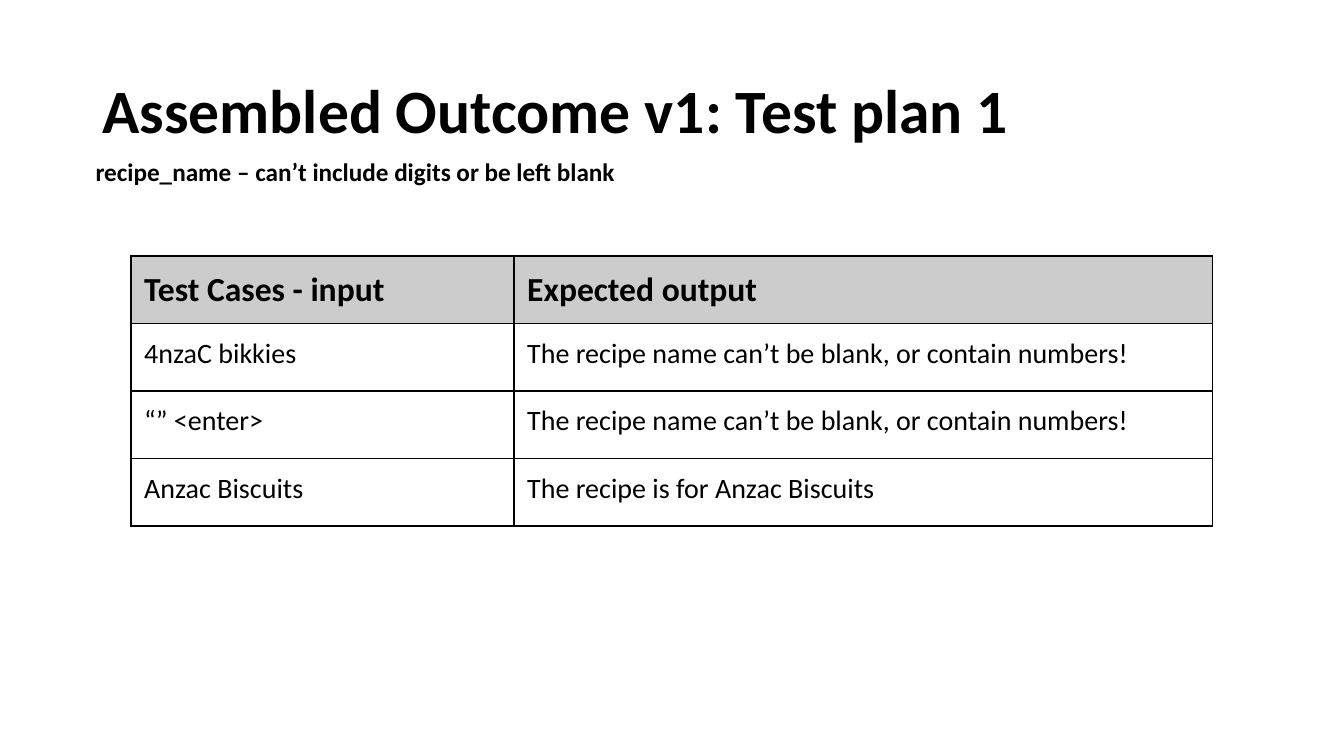
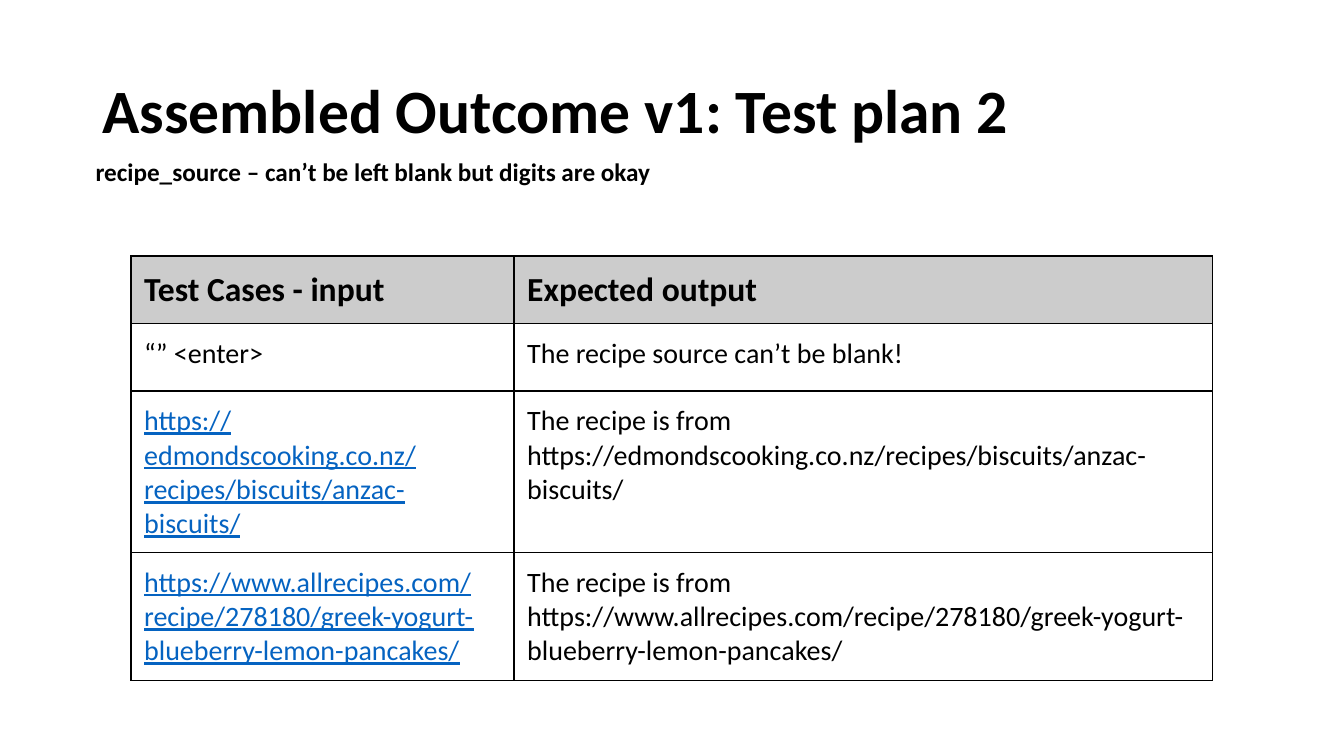
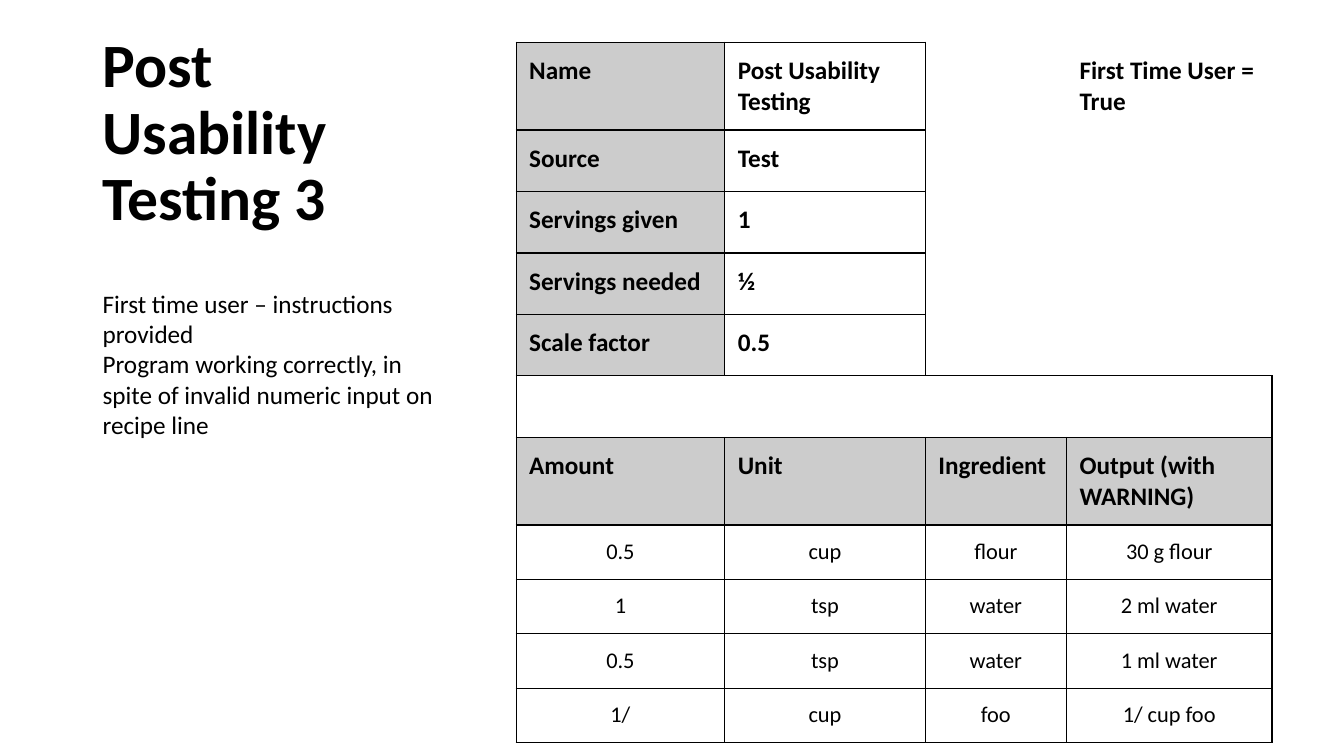
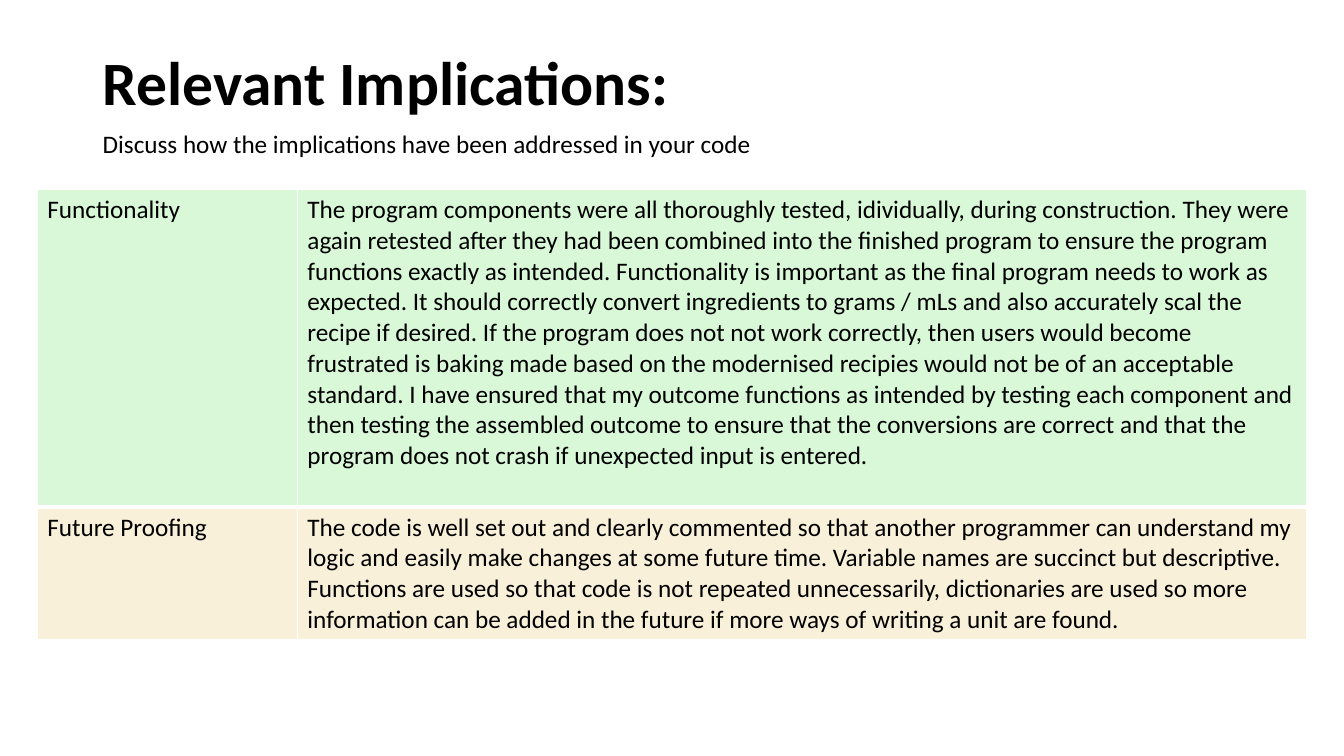
from dataclasses import dataclass, replace
from typing import Optional

from lxml.etree import SubElement
from pptx import Presentation
from pptx.dml.color import RGBColor
from pptx.enum.text import MSO_ANCHOR as Anchor, PP_ALIGN as Align
from pptx.oxml.ns import qn
from pptx.util import Emu, Inches, Pt

# Shared style
FONT = "Calibri"
BLACK = RGBColor(0x00, 0x00, 0x00)
WHITE = RGBColor(0xFF, 0xFF, 0xFF)
GREY = RGBColor(0xCC, 0xCC, 0xCC)
LINK_BLUE = RGBColor(0x05, 0x63, 0xC1)
GREEN = RGBColor(0xD8, 0xF8, 0xD8)
CREAM = RGBColor(0xF8, 0xF0, 0xD8)
TITLE_PT = 44
BODY_PT = 18
LEFT = 0.92
WIDTH = 11.5

# Side of a cell: XML tag, then row and column step to the neighbour
SIDES = {"a:lnL": (0, -1), "a:lnR": (0, 1), "a:lnT": (-1, 0), "a:lnB": (1, 0)}


@dataclass(frozen=True)
class Box:
    left: float
    top: float
    width: float
    height: float


@dataclass(frozen=True)
class Cell:
    text: str = ""
    size: int = BODY_PT
    bold: bool = False
    fill: Optional[RGBColor] = None
    color: RGBColor = BLACK
    underline: bool = False
    align: Align = Align.LEFT
    framed: bool = True


@dataclass(frozen=True)
class Grid:
    left: float
    top: float
    cols: list[float]
    rows: list[float]
    cells: list[list[Cell]]
    inset: Optional[float] = 0.13
    line: RGBColor = BLACK
    inner_pt: float = 1  # width of the lines between rows
    merged_row: Optional[int] = None


def style(p, size: int, bold: bool = False, color: RGBColor = BLACK) -> None:
    p.font.name = FONT
    p.font.size = Pt(size)
    p.font.bold = bold
    p.font.color.rgb = color


def add_text(s, box: Box, lines: list[str], size: int = BODY_PT, bold: bool = False,
             spacing: float = 1.0, anchor: Anchor = Anchor.TOP) -> None:
    sp = s.shapes.add_textbox(*map(Inches, (box.left, box.top, box.width, box.height)))
    tf = sp.text_frame
    tf.word_wrap = True
    tf.vertical_anchor = anchor
    tf.text = "\n".join(lines)
    for p in tf.paragraphs:
        p.line_spacing = spacing
        style(p, size, bold)


def add_title(s, text: str, box: Box, spacing: float = 0.9) -> None:
    add_text(s, box, [text], TITLE_PT, True, spacing, Anchor.MIDDLE)


def add_edge(cell, tag: str, color: Optional[RGBColor], width: float) -> None:
    ln = SubElement(cell._tc.get_or_add_tcPr(), qn(tag), w=str(Pt(width)))
    if color is None:
        SubElement(ln, qn("a:noFill"))
    else:
        fill = SubElement(ln, qn("a:solidFill"))
        SubElement(fill, qn("a:srgbClr"), val=str(color))


def add_edges(cell, grid: Grid, row: int, col: int) -> None:
    """Draw each side that touches a framed cell."""
    for tag, (down, right) in SIDES.items():
        r, c = row + down, col + right
        inside = 0 <= r < len(grid.rows) and 0 <= c < len(grid.cols)
        shown = grid.cells[row][col].framed or (inside and grid.cells[r][c].framed)
        width = grid.inner_pt if inside and down else 1
        add_edge(cell, tag, grid.line if shown else None, width)


def fill_cell(cell, spec: Cell, inset: Optional[float]) -> None:
    if inset is not None:
        cell.margin_left = cell.margin_right = Inches(inset)
        cell.margin_top = cell.margin_bottom = Inches(inset)
    if spec.fill is None:
        cell.fill.background()
    else:
        cell.fill.solid()
        cell.fill.fore_color.rgb = spec.fill
    p = cell.text_frame.paragraphs[0]
    p.text = spec.text
    p.alignment = spec.align
    style(p, spec.size, spec.bold, spec.color)
    p.font.underline = spec.underline


def add_grid(s, grid: Grid) -> None:
    size = (grid.left, grid.top, sum(grid.cols), sum(grid.rows))
    table = s.shapes.add_table(len(grid.rows), len(grid.cols), *map(Inches, size)).table
    table.first_row = table.horz_banding = False
    for column, width in zip(table.columns, grid.cols):
        column.width = Inches(width)
    for row, height in zip(table.rows, grid.rows):
        row.height = Inches(height)
    for r, specs in enumerate(grid.cells):
        for c, spec in enumerate(specs):
            cell = table.cell(r, c)
            add_edges(cell, grid, r, c)
            fill_cell(cell, spec, grid.inset)
    if grid.merged_row is not None:
        table.cell(grid.merged_row, 0).merge(table.cell(grid.merged_row, len(grid.cols) - 1))


def bold_cell(text: str) -> Cell:
    return Cell(text, bold=True)


def label(text: str, size: int = BODY_PT) -> Cell:
    return Cell(text, size, bold=True, fill=GREY)


def case(given: str, expected: str) -> list[Cell]:
    """Row of a test plan; web addresses look like links."""
    first, second = Cell(given, 20), Cell(expected, 20)
    if given.startswith("https://"):
        first = replace(first, color=LINK_BLUE, underline=True)
    return [first, second]


def test_plan(prs, number: int, rule: str, cases: list[tuple[str, str]],
              heights: list[float]) -> None:
    s = prs.slides.add_slide(prs.slide_layouts[6])
    add_title(s, f"Assembled Outcome v1: Test plan {number}", Box(LEFT, 0.4, WIDTH, 1.45))
    add_text(s, Box(0.85, 1.5, WIDTH, 0.4), [rule], bold=True)
    header = [label("Test Cases - input", 24), label("Expected output", 24)]
    add_grid(s, Grid(1.3, 2.54, [3.8, 6.93], [0.67] + heights,
                     [header] + [case(*pair) for pair in cases]))


def usability(prs) -> None:
    s = prs.slides.add_slide(prs.slide_layouts[6])
    add_title(s, "Post Usability Testing 3", Box(LEFT, 0.52, 3.63, 1.62))
    add_text(s, Box(LEFT, 2.81, 3.63, 1.62), [
        "First time user – instructions provided",
        "Program working correctly, in spite of invalid numeric input on recipe line",
    ])
    facts = [("Name", "Post Usability Testing"), ("Source", "Test"), ("Servings given", "1"),
             ("Servings needed", "½"), ("Scale factor", "0.5")]
    recipe = [("0.5", "cup", "flour", "30 g flour"), ("1", "tsp", "water", "2 ml water"),
              ("0.5", "tsp", "water", "1 ml water"), ("1/", "cup", "foo", "1/ cup foo")]
    heads = ["Amount", "Unit", "Ingredient", "Output (with WARNING)"]

    open_cell = Cell(framed=False)
    cells = [[label(name), bold_cell(value), open_cell, open_cell] for name, value in facts]
    cells[0][3] = replace(open_cell, text="First Time User = True", bold=True)
    cells.append([Cell()] * len(heads))
    cells.append([label(head) for head in heads])
    cells += [[Cell(text, 16, align=Align.CENTER) for text in row] for row in recipe]
    heights = [0.87] + [0.61] * 5 + [0.87] + [0.54] * len(recipe)
    add_grid(s, Grid(5.12, 0.42, [2.07, 1.99, 1.4, 2.04], heights, cells,
                     merged_row=len(facts)))


def implications(prs) -> None:
    s = prs.slides.add_slide(prs.slide_layouts[6])
    add_title(s, "Relevant Implications:", Box(LEFT, 0.28, WIDTH, 0.93), 1.15)
    topics = [
        ("Functionality", GREEN,
         "The program components were all thoroughly tested, idividually, during construction. "
         "They were again retested after they had been combined into the finished program to "
         "ensure the program functions exactly as intended. Functionality is important as the "
         "final program needs to work as expected. It should correctly convert ingredients to "
         "grams / mLs and also accurately scal the recipe if desired. If the program does not "
         "not work correctly, then users would become frustrated is baking made based on the "
         "modernised recipies would not be of an acceptable standard. I have ensured that my "
         "outcome functions as intended by testing each component and then testing the "
         "assembled outcome to ensure that the conversions are correct and that the program "
         "does not crash if unexpected input is entered."),
        ("Future Proofing", CREAM,
         "The code is well set out and clearly commented so that another programmer can "
         "understand my logic and easily make changes at some future time. Variable names are "
         "succinct but descriptive. Functions are used so that code is not repeated "
         "unnecessarily, dictionaries are used so more information can be added in the future "
         "if more ways of writing a unit are found."),
    ]
    cells = [[Cell(name, fill=fill), Cell(text, fill=fill)] for name, fill, text in topics]
    add_grid(s, Grid(0.37, 1.88, [2.58, 10.01], [3.15, 1.32], cells,
                     inset=None, line=WHITE, inner_pt=3))
    add_text(s, Box(LEFT, 1.22, 10.92, 0.4),
             ["Discuss how the implications have been addressed in your code"])


def main() -> None:
    prs = Presentation()
    prs.slide_width, prs.slide_height = Emu(12192000), Inches(7.5)

    # Test plans
    name_error = "The recipe name can’t be blank, or contain numbers!"
    test_plan(prs, 1, "recipe_name – can’t include digits or be left blank", [
        ("4nzaC bikkies", name_error),
        ("“” <enter>", name_error),
        ("Anzac Biscuits", "The recipe is for Anzac Biscuits"),
    ], [0.67] * 3)
    sources = ["https://edmondscooking.co.nz/recipes/biscuits/anzac-biscuits/",
               "https://www.allrecipes.com/recipe/278180/greek-yogurt-blueberry-lemon-pancakes/"]
    test_plan(prs, 2, "recipe_source – can’t be left blank but digits are okay",
              [("“” <enter>", "The recipe source can’t be blank!")]
              + [(url, f"The recipe is from {url}") for url in sources],
              [0.67, 1.6, 1.27])

    # Results and reflection
    usability(prs)
    implications(prs)
    prs.save("out.pptx")


if __name__ == "__main__":
    main()
